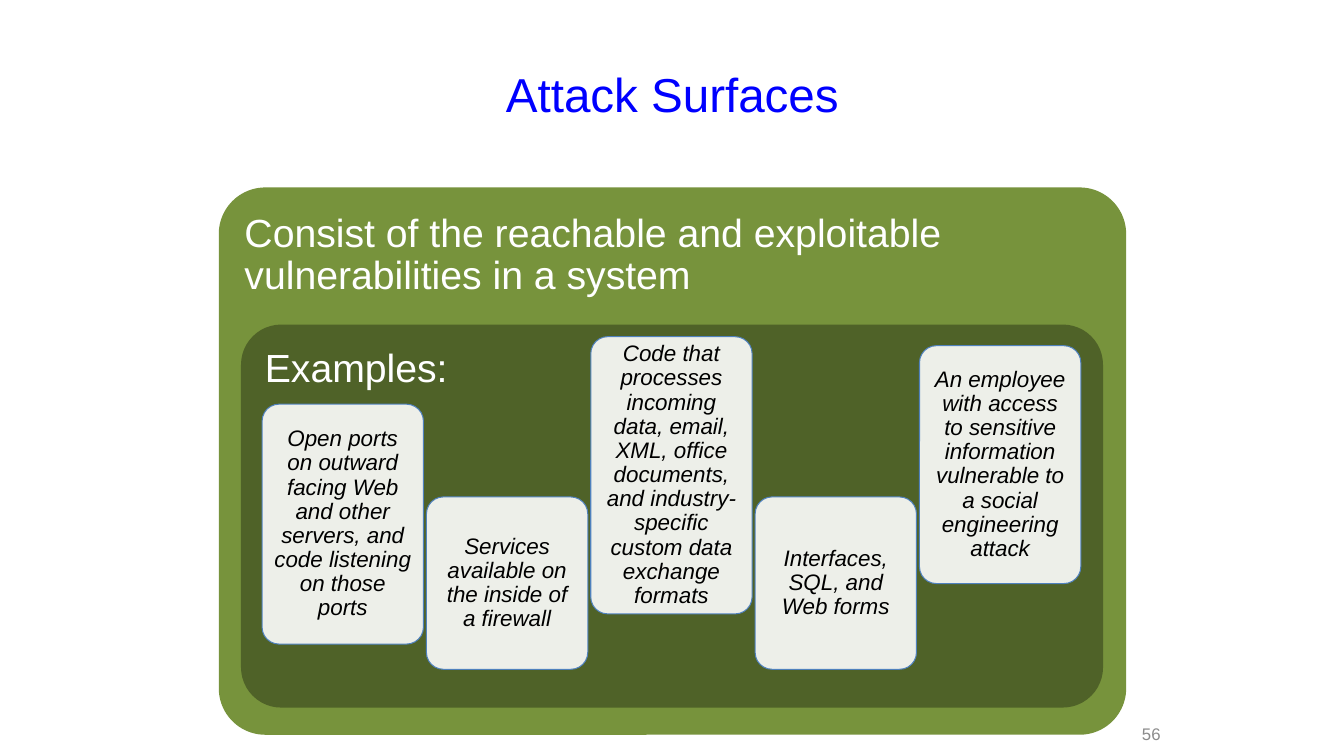
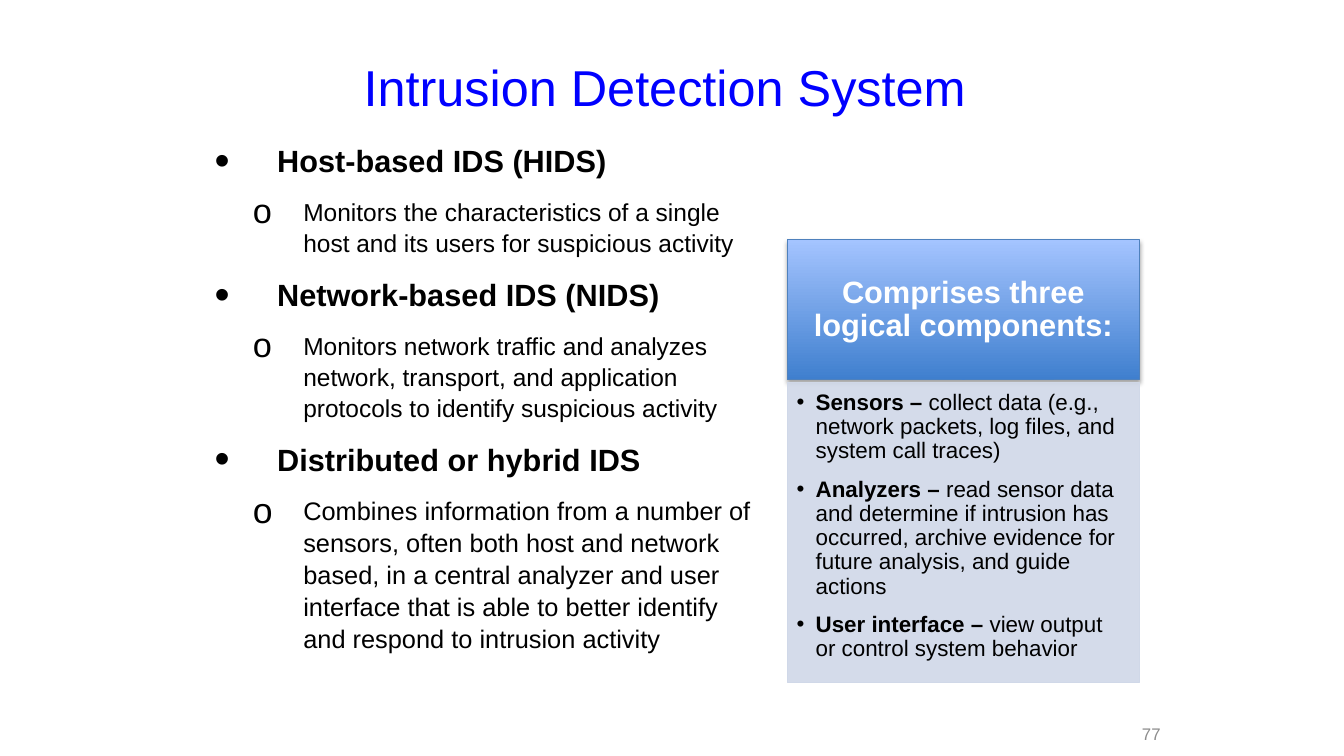
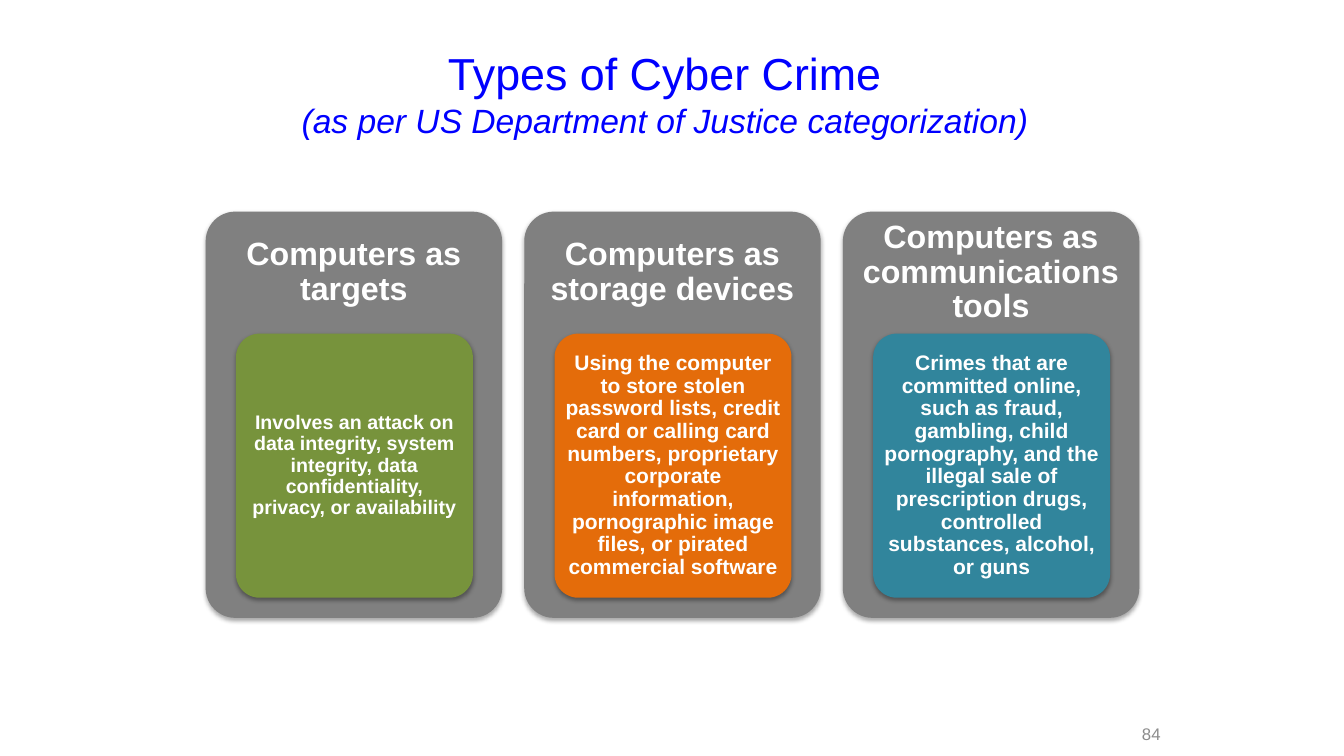
from dataclasses import dataclass

from lxml.etree import SubElement
from pptx import Presentation
from pptx.dml.color import RGBColor
from pptx.enum.shapes import MSO_SHAPE as Preset
from pptx.enum.text import MSO_ANCHOR as Anchor, PP_ALIGN as Align
from pptx.oxml.ns import qn
from pptx.util import Inches, Pt


@dataclass(frozen=True)
class Theme:
    """Colours, font and type sizes shared by all slides."""

    font: str = "Arial"
    title: str = "0000FF"
    page_number: str = "8C8C8C"
    ink: str = "000000"
    paper: str = "FFFFFF"
    outline: str = "4F81BD"
    green: str = "77933C"
    dark_green: str = "4F6228"
    grey: str = "808080"
    orange: str = "E46C0A"
    teal: str = "31859C"
    pale_blue: str = "D0D8E8"
    gradient: tuple = ("3F7FCE", "A4C4FF")
    page_size: float = 12
    panel_size: float = 28
    body_size: float = 16
    topic_size: float = 21.9
    detail_size: float = 17.5
    header_size: float = 22
    column_size: float = 23


THEME = Theme()


def rgb(value):
    """Turn a hex string into a colour."""
    return RGBColor.from_string(value)


def style(paragraph, size, color, bold=False, italic=False, align=Align.LEFT, spacing=None):
    """Set the font, alignment and line spacing of a paragraph."""
    paragraph.alignment = align
    paragraph.line_spacing = spacing
    font = paragraph.font
    font.name, font.size, font.bold, font.italic = THEME.font, Pt(size), bold, italic
    font.color.rgb = rgb(color)


def set_frame(shape, anchor, insets):
    """Prepare the text frame of a shape and return it."""
    frame = shape.text_frame
    frame.word_wrap = True
    frame.vertical_anchor = anchor
    (frame.margin_left, frame.margin_top,
     frame.margin_right, frame.margin_bottom) = map(Inches, insets)
    return frame


def add_text_box(slide, box, anchor=Anchor.MIDDLE, insets=(0.1, 0.05, 0.1, 0.05)):
    """Add a text box and return its frame."""
    return set_frame(slide.shapes.add_textbox(*map(Inches, box)), anchor, insets)


def add_box(slide, box, fill=None, radius=None, line=None, opacity=None, shadow=False):
    """Add a plain or rounded rectangle."""
    preset = Preset.RECTANGLE if radius is None else Preset.ROUNDED_RECTANGLE
    shape = slide.shapes.add_shape(preset, *map(Inches, box))
    if radius is not None:
        shape.adjustments[0] = radius
    if fill:
        shape.fill.solid()
        shape.fill.fore_color.rgb = rgb(fill)
    if line:
        shape.line.color.rgb = rgb(line)
        shape.line.width = Pt(0.75)
    else:
        shape.line.fill.background()
    shape.shadow.inherit = False
    properties = shape._element.spPr
    if opacity is not None:
        color = properties.find(qn("a:solidFill"))[0]
        SubElement(color, qn("a:alpha"), val=str(opacity * 1000))
    if shadow:
        outer = SubElement(properties.find(qn("a:effectLst")), qn("a:outerShdw"),
                           blurRad=str(Pt(3.1)), dist=str(Pt(1.8)), dir="5400000",
                           rotWithShape="0")
        color = SubElement(outer, qn("a:srgbClr"), val="000000")
        SubElement(color, qn("a:alpha"), val="35000")
    return shape


def write(shape, text, size, color, anchor=Anchor.MIDDLE, insets=(0.07,) * 4,
          align=Align.CENTER, **look):
    """Write one tightly spaced paragraph into a shape."""
    paragraph = set_frame(shape, anchor, insets).paragraphs[0]
    paragraph.text = text
    style(paragraph, size, color, align=align, spacing=0.9, **look)


def add_bullet(paragraph, symbol, indent, hanging, percent=100):
    """Give a paragraph a hanging bullet."""
    properties = paragraph._p.get_or_add_pPr()
    properties.set("marL", str(Inches(indent)))
    properties.set("indent", str(-Inches(hanging)))
    color = SubElement(properties, qn("a:buClr"))
    SubElement(color, qn("a:srgbClr"), val=THEME.ink)
    SubElement(properties, qn("a:buSzPct"), val=str(percent * 1000))
    SubElement(properties, qn("a:buFont"), typeface=THEME.font)
    SubElement(properties, qn("a:buChar"), char=symbol)


def next_paragraph(frame, index):
    """Return the first paragraph of a frame or add another."""
    return frame.add_paragraph() if index else frame.paragraphs[0]


def add_slide(presentation, number, title_box, *title_lines):
    """Add a blank slide with its title and page number."""
    slide = presentation.slides.add_slide(presentation.slide_layouts[6])
    frame = add_text_box(slide, title_box)
    for index, (text, size, italic) in enumerate(title_lines):
        paragraph = next_paragraph(frame, index)
        paragraph.text = text
        style(paragraph, size, THEME.title, italic=italic, align=Align.CENTER)
    page = add_text_box(slide, (10.93, 7.2, 0.68, 0.15), insets=(0.1, 0, 0.1, 0)).paragraphs[0]
    page.text = str(number)
    style(page, THEME.page_size, THEME.page_number, align=Align.RIGHT)
    return slide


def build_attack_surfaces(presentation):
    """Build the slide on attack surfaces."""
    slide = add_slide(presentation, 56, (0.67, 0.3, 12, 1.25), ("Attack Surfaces", 34, False))
    panels = [
        ((2.17, 1.86, 9, 5.43), 0.085, THEME.green,
         "Consist of the reachable and exploitable vulnerabilities in a system"),
        ((2.39, 3.22, 8.55, 3.8), 0.105, THEME.dark_green, "Examples:"),
    ]
    for box, radius, fill, text in panels:
        write(add_box(slide, box, fill, radius), text, THEME.panel_size, THEME.paper,
              Anchor.TOP, (0.12,) * 4, Align.LEFT)
    examples = [
        (4.01, 2.38, "Open ports on outward facing Web and other servers, "
                     "and code listening on those ports"),
        (4.93, 1.71, "Services available on the inside of a firewall"),
        (3.34, 2.75, "Code that processes incoming data, email, XML, office documents, "
                     "and industry-specific custom data exchange formats"),
        (4.93, 1.71, "Interfaces, SQL, and Web forms"),
        (3.43, 2.36, "An employee with access to sensitive information "
                     "vulnerable to a social engineering attack"),
    ]
    for index, (top, height, text) in enumerate(examples):
        card = add_box(slide, (2.6 + 1.63 * index, top, 1.6, height), THEME.paper, 0.105,
                       THEME.outline, opacity=90)
        write(card, text, THEME.body_size, THEME.ink, italic=True)


def build_intrusion_detection(presentation):
    """Build the slide on intrusion detection systems."""
    slide = add_slide(presentation, 77, (2.03, 0.3, 9.13, 1.11),
                      ("Intrusion Detection System", 36, False))
    header = add_box(slide, (7.81, 2.38, 3.49, 1.39), line=THEME.outline, shadow=True)
    header.fill.gradient()
    header.fill.gradient_angle = 90
    for stop, color in zip(header.fill.gradient_stops, THEME.gradient):
        stop.color.rgb = rgb(color)
    write(header, "Comprises three logical components:", THEME.header_size, THEME.paper,
          insets=(0.17, 0.1, 0.17, 0.1), bold=True)

    body = add_box(slide, (7.81, 3.79, 3.49, 2.98), THEME.pale_blue, line=THEME.pale_blue,
                   opacity=90)
    frame = set_frame(body, Anchor.TOP, (0.09, 0.09, 0.12, 0.14))
    components = [
        ("Sensors – ", "collect data (e.g., network packets, log files, and system call traces)"),
        ("Analyzers – ", "read sensor data and determine if intrusion has occurred, "
                         "archive evidence for future analysis, and guide actions"),
        ("User interface – ", "view output or control system behavior"),
    ]
    for index, (name, task) in enumerate(components):
        paragraph = next_paragraph(frame, index)
        add_bullet(paragraph, "•", 0.19, 0.19)
        style(paragraph, THEME.body_size, THEME.ink, spacing=0.9)
        paragraph.space_after = Pt(10.3)
        for text, bold in ((name, True), (task, False)):
            run = paragraph.add_run()
            run.text = text
            run.font.bold = bold

    systems = [
        ("Host-based IDS (HIDS)", THEME.detail_size,
         "Monitors the characteristics of a single host and its users for suspicious activity"),
        ("Network-based IDS (NIDS)", THEME.detail_size,
         "Monitors network traffic and analyzes network, transport, and application "
         "protocols to identify suspicious activity"),
        ("Distributed or hybrid IDS", 18.1,
         "Combines information from a number of sensors, often both host and network based, "
         "in a central analyzer and user interface that is able to better identify "
         "and respond to intrusion activity"),
    ]
    frame = add_text_box(slide, (2.03, 1.34, 5.6, 4.99), Anchor.TOP)
    for index, (topic, detail_size, detail) in enumerate(systems):
        heading = next_paragraph(frame, index)
        explanation = frame.add_paragraph()
        heading.text, explanation.text = topic, detail
        add_bullet(heading, "•", 0.62, 0.62, 140)
        add_bullet(explanation, "o", 0.88, 0.5, 140)
        style(heading, THEME.topic_size, THEME.ink, bold=True, spacing=1.05)
        style(explanation, detail_size, THEME.ink, spacing=1.05)
        explanation.space_before = Pt(12)
        if index:
            heading.space_before = Pt(12)


def build_cyber_crime(presentation):
    """Build the slide on types of cyber crime."""
    slide = add_slide(presentation, 84, (2.03, 0.3, 9.13, 1.25),
                      ("Types of Cyber Crime", 32, False),
                      ("(as per US Department of Justice categorization)", 24, True))
    crimes = [
        ("Computers as targets", THEME.green, 14,
         "Involves an attack on data integrity, system integrity, data confidentiality, "
         "privacy, or availability"),
        ("Computers as storage devices", THEME.orange, 15,
         "Using the computer to store stolen password lists, credit card or calling card "
         "numbers, proprietary corporate information, pornographic image files, "
         "or pirated commercial software"),
        ("Computers as communications tools", THEME.teal, 15,
         "Crimes that are committed online, such as fraud, gambling, child pornography, "
         "and the illegal sale of prescription drugs, controlled substances, alcohol, or guns"),
    ]
    for index, (heading, fill, size, text) in enumerate(crimes):
        left = 2.04 + 3.16 * index
        column = add_box(slide, (left, 2.1, 2.94, 4.03), THEME.grey, 0.1, shadow=True)
        write(column, heading, THEME.column_size, THEME.paper,
              insets=(0.01, 0.01, 0.01, 2.83), bold=True)
        card = add_box(slide, (left + 0.3, 3.31, 2.35, 2.62), fill, 0.1, shadow=True)
        write(card, text, size, THEME.paper, insets=(0.04, 0.03, 0.04, 0.03), bold=True)


def main():
    """Build and save the presentation."""
    presentation = Presentation()
    presentation.slide_width, presentation.slide_height = Inches(13.33), Inches(7.5)
    build_attack_surfaces(presentation)
    build_intrusion_detection(presentation)
    build_cyber_crime(presentation)
    presentation.save("out.pptx")


if __name__ == "__main__":
    main()
